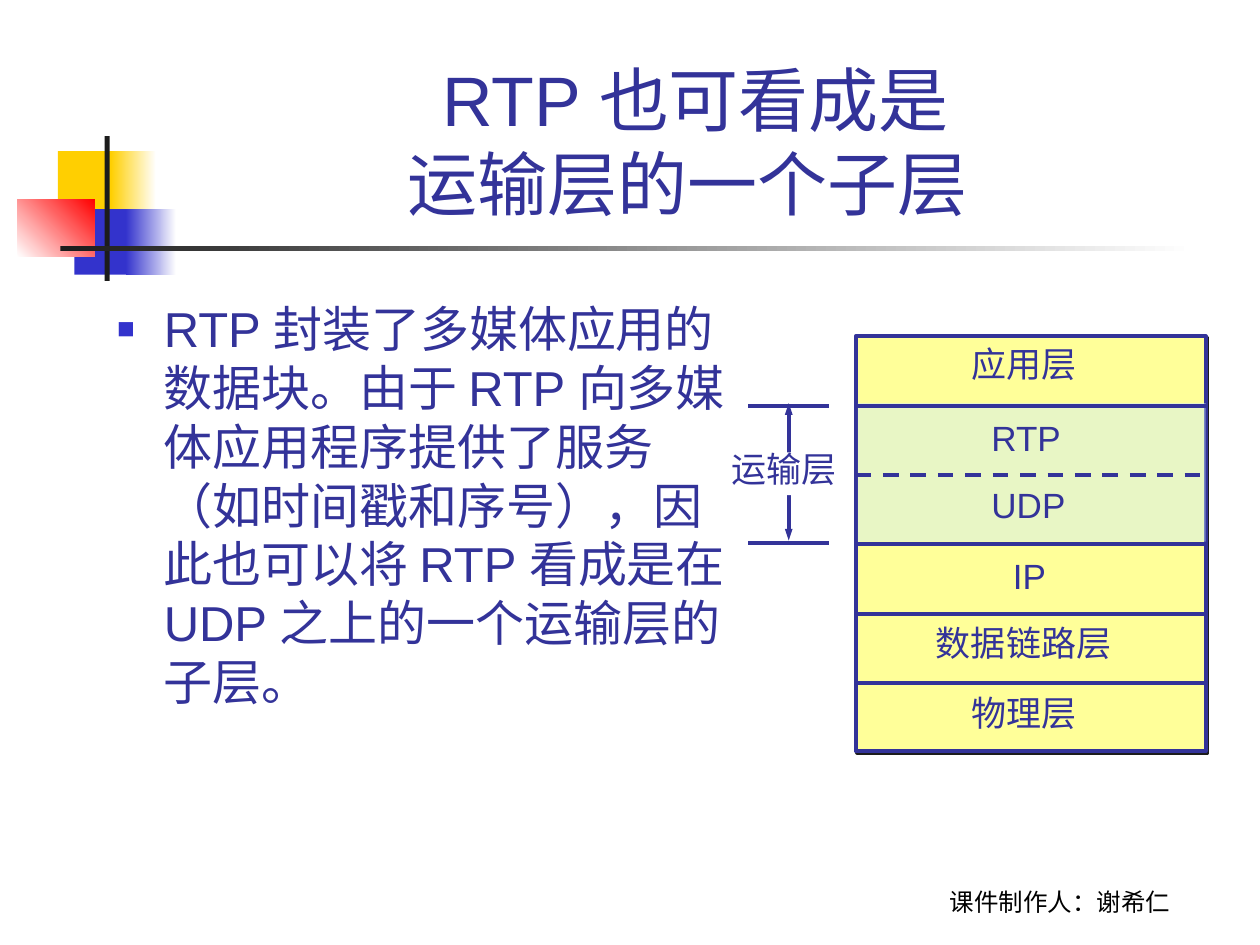
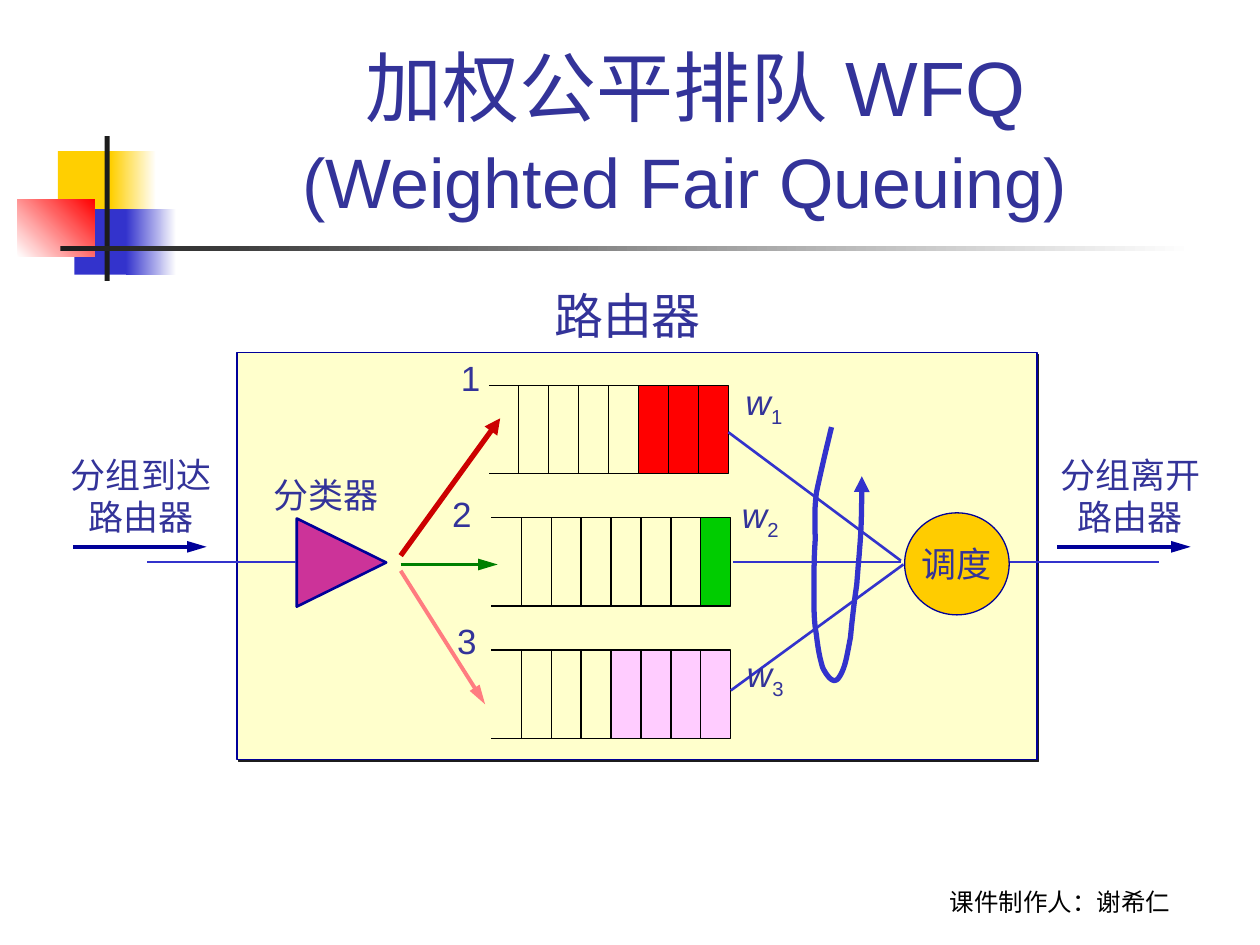
"""Build two slides: RTP as a transport sublayer, and weighted fair queuing."""
import lxml.etree
import pptx
import pptx.dml.color
import pptx.enum.dml
import pptx.enum.shapes
import pptx.enum.text
import pptx.oxml.ns
import pptx.util

RGBColor = pptx.dml.color.RGBColor
Inches = pptx.util.Inches
Pt = pptx.util.Pt
Shapes = pptx.enum.shapes.MSO_SHAPE
Anchor = pptx.enum.text.MSO_ANCHOR
Align = pptx.enum.text.PP_ALIGN
AutoSize = pptx.enum.text.MSO_AUTO_SIZE
qn = pptx.oxml.ns.qn

INDIGO = RGBColor(0x33, 0x33, 0x99)
BLUE = RGBColor(0x33, 0x33, 0xCC)
NAVY = RGBColor(0x00, 0x00, 0x99)
WHITE = RGBColor(0xFF, 0xFF, 0xFF)
BLACK = RGBColor(0x00, 0x00, 0x00)
CHARCOAL = RGBColor(0x1C, 0x1C, 0x1C)
GOLD = RGBColor(0xFF, 0xCF, 0x01)
ORANGE = RGBColor(0xFF, 0xCC, 0x00)
RED = RGBColor(0xFF, 0x00, 0x00)
DARK_RED = RGBColor(0xCC, 0x00, 0x00)
SALMON = RGBColor(0xFF, 0x7C, 0x80)
GREEN = RGBColor(0x00, 0xCC, 0x00)
DARK_GREEN = RGBColor(0x00, 0x80, 0x00)
PINK = RGBColor(0xFF, 0xCC, 0xFF)
MAGENTA = RGBColor(0xCC, 0x33, 0x99)
YELLOW = RGBColor(0xFF, 0xFF, 0x99)
CREAM = RGBColor(0xFF, 0xFF, 0xCC)
PALE_BLUE = RGBColor(0xCC, 0xEC, 0xFF)

TITLE_BOX = (1.26, 0.23, 8.52, 1.6)
FOOTER_BOX = (6.83, 6.82, 3.17, 0.5)
QUEUE_HEIGHT = 0.7
QUEUE_WIDTH = 1.9
CELL_WIDTH = QUEUE_WIDTH / 8


def set_attributes(target, values):
    """Set each named attribute of the target."""
    for name, value in values.items():
        setattr(target, name, value)


def inches(*values):
    """Turn numbers into a list of lengths."""
    return [Inches(value) for value in values]


def add_element(parent, tag, **attributes):
    """Append a drawing element to an XML parent."""
    texts = {name: str(value) for name, value in attributes.items()}
    return lxml.etree.SubElement(parent, qn(tag), texts)


def place(shape, box):
    """Move and size a shape."""
    set_attributes(shape, dict(zip(("left", "top", "width", "height"), inches(*box))))


def add_run(paragraph, text, size=20, color=INDIGO, font="Arial", **values):
    """Add a formatted run to a paragraph."""
    run = paragraph.add_run()
    run.text = text
    set_attributes(run.font, {"size": Pt(size), "name": font, **values})
    run.font.color.rgb = color
    return run


def style_line(shape, color, width):
    """Set the colour and width of an outline."""
    shape.line.color.rgb = color
    shape.line.width = Pt(width)


def add_arrowhead(shape, end="a:tailEnd", width="med", length="lg"):
    """Put a triangular arrowhead on one end of a line."""
    outline = shape.element.spPr.find(qn("a:ln"))
    add_element(outline, end, type="triangle", w=width, len=length)


def add_block(slide, box, fill, outline=None, kind=Shapes.RECTANGLE):
    """Add a filled preset shape, outlined by a colour and width if given."""
    shape = slide.shapes.add_shape(kind, *inches(*box))
    shape.shadow.inherit = False
    shape.fill.solid()
    shape.fill.fore_color.rgb = fill
    if outline:
        style_line(shape, *outline)
    else:
        shape.line.fill.background()
    return shape


def add_gradient(slide, box, start, end, angle=0):
    """Add a rectangle that fades between two colours."""
    shape = add_block(slide, box, start)
    shape.fill.gradient()
    shape.fill.gradient_angle = angle
    for stop, color in zip(shape.fill.gradient_stops, (start, end)):
        stop.color.rgb = color


def add_drop_shadow(shape):
    """Give a shape a thin hard shadow at lower right."""
    effects = shape.element.spPr.find(qn("a:effectLst"))
    shadow = add_element(effects, "a:outerShdw", dist=Pt(1.4), dir=45 * 60000,
                         algn="ctr", rotWithShape=0)
    add_element(shadow, "a:srgbClr", val=CHARCOAL)


def add_line(slide, start, end, color, width):
    """Add a straight line without shadow."""
    connector = slide.shapes.add_connector(
        pptx.enum.shapes.MSO_CONNECTOR.STRAIGHT, *inches(*start, *end))
    style_line(connector, color, width)
    add_element(connector.element.spPr, "a:effectLst")
    return connector


def add_path(slide, points, color, width):
    """Add an open unfilled outline through points."""
    start, *rest = [inches(*point) for point in points]
    builder = slide.shapes.build_freeform(*start)
    builder.add_line_segments(rest, close=False)
    shape = builder.convert_to_shape()
    shape.shadow.inherit = False
    shape.fill.background()
    style_line(shape, color, width)
    return shape


def curve_points(start, curves, steps=8):
    """Sample a chain of cubic curves."""
    points = [start]
    for curve in curves:
        corners = (points[-1], *curve)
        for step in range(1, steps + 1):
            t = step / steps
            weights = ((1 - t) ** 3, 3 * t * (1 - t) ** 2, 3 * t * t * (1 - t), t ** 3)
            points.append(tuple(sum(weight * corner[axis] for weight, corner
                                    in zip(weights, corners)) for axis in (0, 1)))
    return points


def write_label(shape, lines, align=Align.LEFT, size=20, **frame_values):
    """Write one paragraph per line into a shape."""
    frame = shape.text_frame
    set_attributes(frame, {"word_wrap": False, "vertical_anchor": Anchor.TOP, **frame_values})
    for index, line in enumerate(lines):
        paragraph = frame.add_paragraph() if index else frame.paragraphs[0]
        paragraph.alignment = align
        add_run(paragraph, line, size)
    return frame.paragraphs[0]


def add_label(slide, box, *lines, **values):
    """Add a text box that fits its lines."""
    return write_label(slide.shapes.add_textbox(*inches(*box)), lines,
                       auto_size=AutoSize.SHAPE_TO_FIT_TEXT, **values)


def add_decoration(slide):
    """Draw the coloured squares, the crossing lines and the footer."""
    add_block(slide, (0.46, 1.2, 0.48, 0.52), GOLD)
    add_gradient(slide, (0.88, 1.2, 0.36, 0.52), GOLD, WHITE)
    add_block(slide, (0.59, 1.66, 0.46, 0.52), BLUE)
    add_gradient(slide, (1, 1.66, 0.4, 0.52), BLUE, WHITE)
    add_gradient(slide, (0.14, 1.58, 0.61, 0.46), WHITE, RED, 45)
    add_block(slide, (0.83, 1.08, 0.04, 1.15), CHARCOAL)
    add_gradient(slide, (0.48, 1.95, 9, 0.04), CHARCOAL, WHITE)
    frame = slide.shapes.add_textbox(*inches(*FOOTER_BOX)).text_frame
    set_attributes(frame, {"word_wrap": True, "vertical_anchor": Anchor.BOTTOM})
    frame.paragraphs[0].alignment = Align.CENTER
    add_run(frame.paragraphs[0], "课件制作人：谢希仁", 14, BLACK, "Cabin")


def add_slide(presentation, layout, *title_lines):
    """Add a decorated slide whose title lines are lists of (text, size) runs."""
    slide = presentation.slides.add_slide(presentation.slide_layouts[layout])
    title = slide.shapes.title
    place(title, TITLE_BOX)
    set_attributes(title.text_frame, {"vertical_anchor": Anchor.BOTTOM,
                                      "auto_size": AutoSize.NONE})
    paragraph = title.text_frame.paragraphs[0]
    paragraph.alignment = Align.CENTER
    for index, line in enumerate(title_lines):
        if index:
            paragraph.add_line_break()
        for text, size in line:
            add_run(paragraph, text, size)
    add_decoration(slide)
    return slide


def write_bullet(body, box, text):
    """Write one square-bulleted paragraph into the body placeholder."""
    place(body, box)
    body.text_frame.auto_size = AutoSize.NONE
    paragraph = body.text_frame.paragraphs[0]
    properties = paragraph._p.get_or_add_pPr()
    paragraph.space_before = Pt(0)
    for name, value in {"marL": Inches(0.37), "indent": -Inches(0.37)}.items():
        properties.set(name, str(value))
    add_element(add_element(properties, "a:buClr"), "a:srgbClr", val=BLUE)
    add_element(properties, "a:buSzPct", val=60000)
    add_element(properties, "a:buChar", char="■")
    add_run(paragraph, text, 28)


def build_rtp_slide(presentation):
    """Build the slide on RTP within the protocol stack."""
    slide = add_slide(presentation, 1, [("RTP 也可看成是", 40)], [("运输层的一个子层 ", 40)])
    write_bullet(slide.placeholders[1], (0.83, 2.32, 5.04, 4.03),
                 "RTP 封装了多媒体应用的数据块。由于 RTP 向多媒体应用程序提供了服务"
                 "（如时间戳和序号），因此也可以将 RTP 看成是在 UDP 之上的一个运输层的子层。")
    stack = add_block(slide, (6.79, 2.67, 2.78, 3.29), YELLOW, (INDIGO, 2.25))
    add_drop_shadow(stack)
    transport = add_block(slide, (6.81, 3.2, 2.76, 1.1), PALE_BLUE)
    color = transport.element.spPr.find(qn("a:solidFill"))[0]
    add_element(color, "a:alpha", val=44000)

    span = add_line(slide, (6.26, 3.2), (6.26, 4.29), INDIGO, 2.25)
    for end in ("a:headEnd", "a:tailEnd"):
        add_arrowhead(span, end, "sm", "med")
    name = add_block(slide, (5.71, 3.59, 1.06, 0.34), WHITE)
    write_label(name, ["运输层"], auto_size=AutoSize.SHAPE_TO_FIT_TEXT).line_spacing = 0.7

    for index in range(5):
        y = 3.22 + 0.55 * index
        divider = add_line(slide, (6.79, y), (9.57, y), INDIGO, 2.25)
        if index == 1:
            divider.line.dash_style = pptx.enum.dml.MSO_LINE.DASH
    for y in (3.22, 4.31):
        add_line(slide, (5.94, y), (6.58, y), INDIGO, 2.25)
    for layer, left, top, width in (
            ("应用层", 7.61, 2.67, 1.06), ("RTP", 7.77, 3.26, 0.78),
            ("UDP", 7.77, 3.79, 0.82), ("IP", 7.94, 4.35, 0.49),
            ("数据链路层", 7.33, 4.88, 1.62), ("物理层", 7.61, 5.44, 1.06)):
        add_label(slide, (left, top, width, 0.44), layer)


def add_queue(slide, right, top, waiting, color):
    """Draw an open-ended queue with its waiting cells filled."""
    bottom = top + QUEUE_HEIGHT
    width = waiting * CELL_WIDTH
    add_block(slide, (right - width, top, width, QUEUE_HEIGHT), color)
    add_path(slide, ((right - QUEUE_WIDTH, top), (right, top), (right, bottom),
                     (right - QUEUE_WIDTH, bottom)), BLACK, 0.75)
    for index in range(1, 8):
        x = right - index * CELL_WIDTH
        add_line(slide, (x, top), (x, bottom), BLACK, 0.75)


def build_wfq_slide(presentation):
    """Build the slide on weighted fair queuing in a router."""
    slide = add_slide(presentation, 5, [("加权公平排队 WFQ", 44)],
                      [("(Weighted Fair Queuing)", 40), (" ", 44)])
    add_drop_shadow(add_block(slide, (1.88, 2.8, 6.35, 3.23), CREAM, (NAVY, 0.75)))
    add_label(slide, (4.3, 2.22, 1.4, 0.57), "路由器", size=28)
    for queue in ((5.78, 3.06, 3, RED), (5.8, 4.11, 1, GREEN), (5.8, 5.16, 4, PINK)):
        add_queue(slide, *queue)

    classifier = add_block(slide, (2.36, 4.11, 0.7, 0.71), MAGENTA, (NAVY, 1.5),
                           Shapes.ISOSCELES_TRIANGLE)
    classifier.rotation = 90
    add_label(slide, (2.07, 3.71, 1.06, 0.44), "分类器")
    scheduler = add_block(slide, (7.18, 4.07, 0.83, 0.81), ORANGE, (NAVY, 0.75), Shapes.OVAL)
    write_label(scheduler, ["调度"], Align.CENTER, vertical_anchor=Anchor.MIDDLE)

    for start, end in (((1.17, 4.46), (2.35, 4.46)), ((5.78, 3.43), (7.15, 4.45)),
                       ((5.82, 4.46), (7.15, 4.46)), ((5.8, 5.48), (7.17, 4.48)),
                       ((8.02, 4.46), (9.2, 4.46))):
        add_line(slide, start, end, BLUE, 1.5)
    for start, end, color, width, length in (
            ((0.58, 4.34), (1.64, 4.34), NAVY, 2.25, "lg"),
            ((8.39, 4.34), (9.45, 4.34), NAVY, 2.25, "lg"),
            ((3.18, 4.41), (3.97, 3.32), DARK_RED, 3, "med"),
            ((3.18, 4.48), (3.95, 4.48), DARK_GREEN, 2.25, "lg"),
            ((3.18, 4.53), (3.85, 5.59), SALMON, 2.25, "lg")):
        add_arrowhead(add_line(slide, start, end, color, width), length=length)
    rotation = curve_points((6.6, 3.39), (
        ((6.58, 3.47), (6.51, 3.76), (6.48, 3.91)), ((6.46, 4.06), (6.47, 4.16), (6.47, 4.29)),
        ((6.46, 4.42), (6.46, 4.58), (6.46, 4.71)), ((6.46, 4.83), (6.46, 4.94), (6.48, 5.04)),
        ((6.49, 5.14), (6.51, 5.24), (6.53, 5.3)), ((6.56, 5.36), (6.6, 5.41), (6.63, 5.4)),
        ((6.65, 5.4), (6.68, 5.35), (6.7, 5.29)), ((6.72, 5.23), (6.73, 5.16), (6.75, 5.06)),
        ((6.76, 4.95), (6.78, 4.77), (6.8, 4.64)), ((6.81, 4.51), (6.82, 4.4), (6.83, 4.26)),
        ((6.84, 4.12), (6.84, 3.88), (6.84, 3.78))))
    add_arrowhead(add_path(slide, rotation, BLUE, 3), length="med")

    for left, action in ((0.45, "分组到达"), (8.3, "分组离开")):
        add_label(slide, (left, 3.55, 1.34, 0.77), action, "路由器", align=Align.CENTER)
    for number, number_corner, weight_corner in (
            ("1", (3.56, 2.78), (5.82, 2.97)), ("2", (3.49, 3.86), (5.79, 3.87)),
            ("3", (3.53, 4.87), (5.83, 5.13))):
        add_label(slide, (*number_corner, 0.38, 0.44), number, word_wrap=True)
        weight = add_label(slide, (*weight_corner, 0.52, 0.48), "w")
        weight.runs[0].font.italic = True
        subscript = add_run(weight, number)
        subscript._r.get_or_add_rPr().set("baseline", "-25000")


def main():
    """Build and save the presentation."""
    presentation = pptx.Presentation()
    set_attributes(presentation, {"slide_width": Inches(10), "slide_height": Inches(7.5)})
    build_rtp_slide(presentation)
    build_wfq_slide(presentation)
    presentation.save("out.pptx")


if __name__ == "__main__":
    main()
